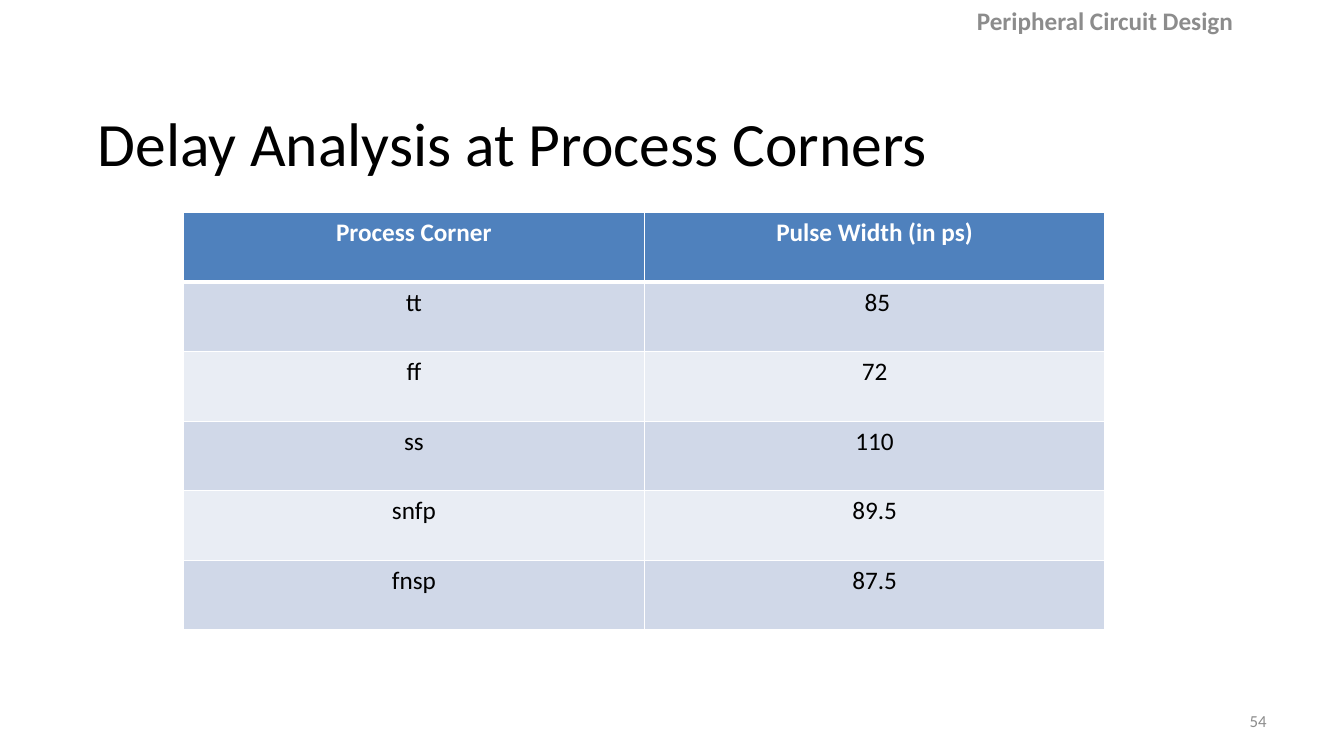
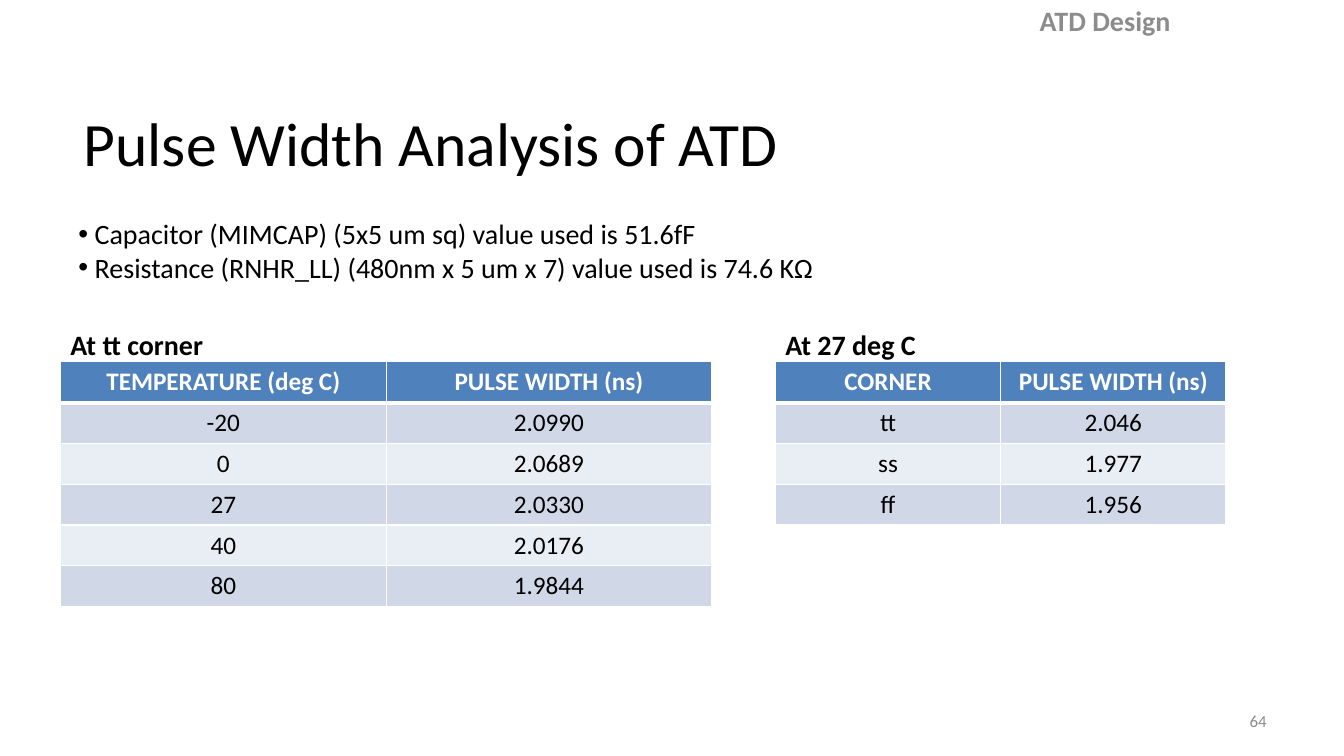
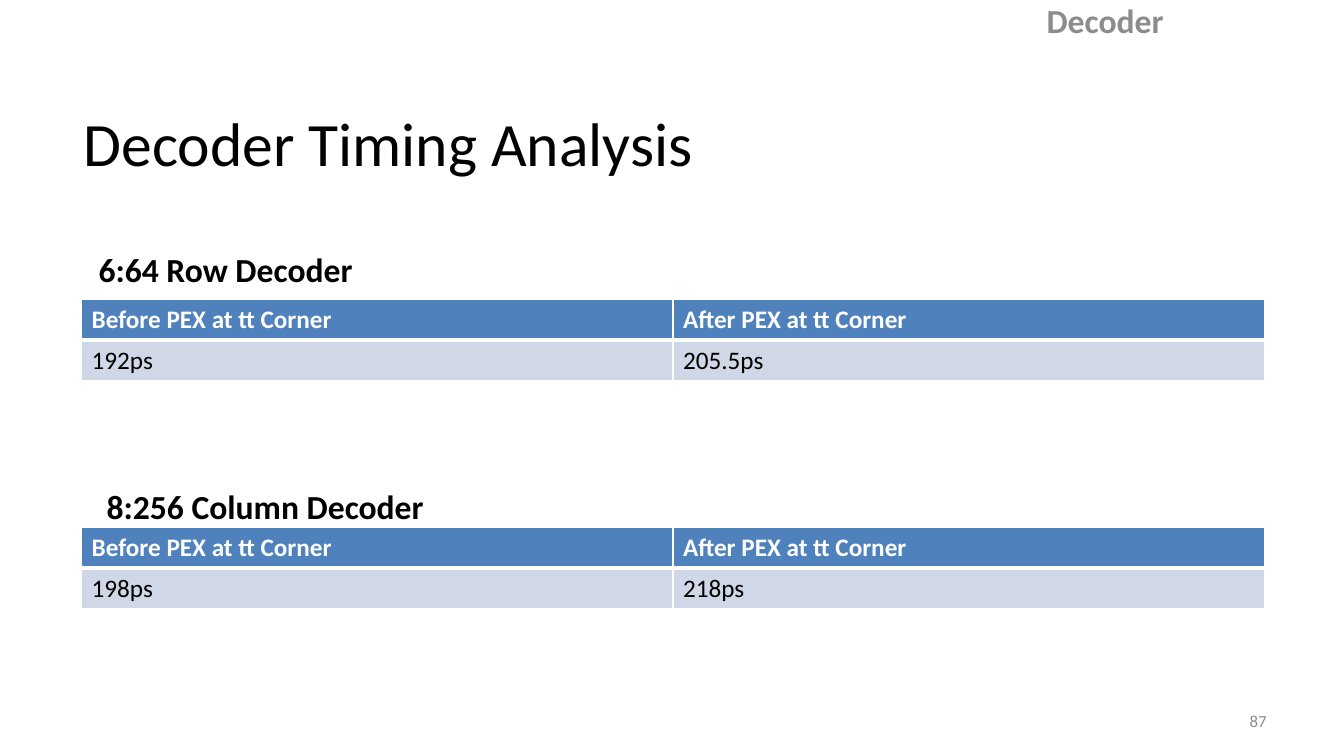
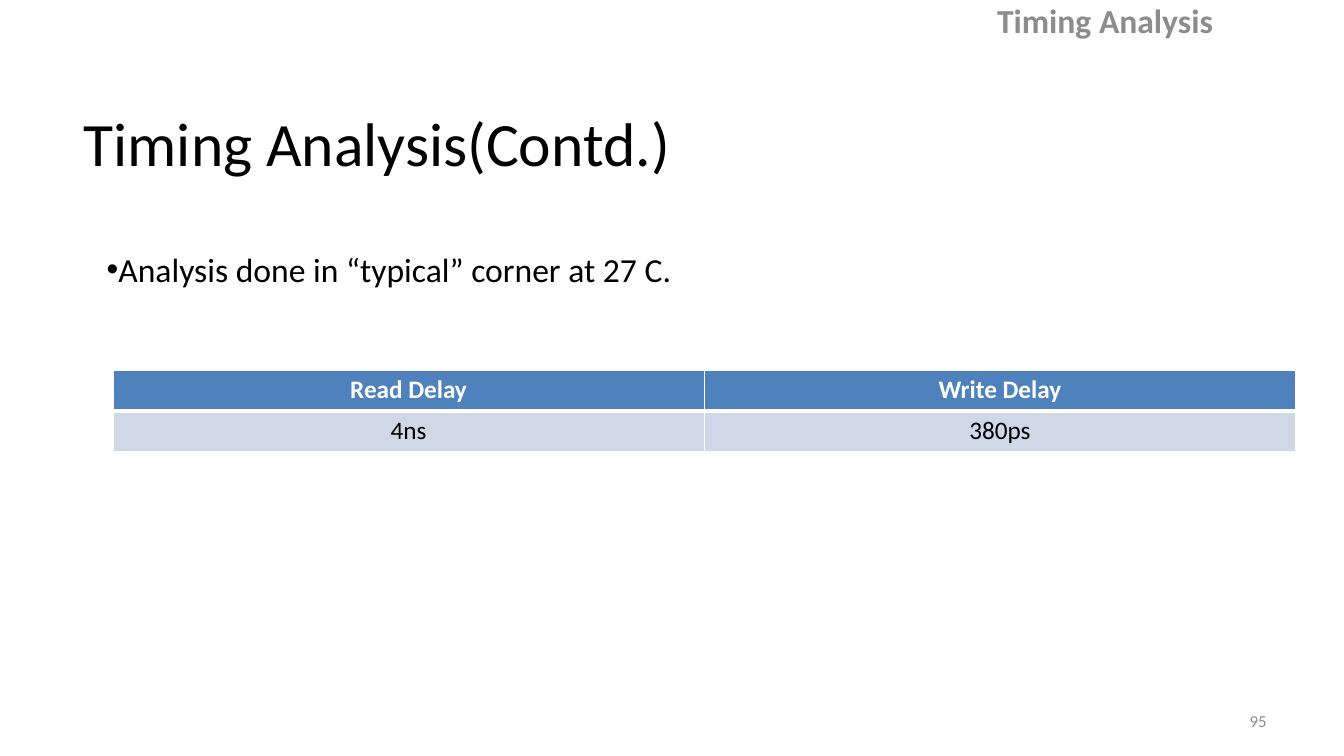
from dataclasses import dataclass
from typing import NamedTuple

from lxml.etree import SubElement
from pptx import Presentation
from pptx.dml.color import RGBColor
from pptx.enum.text import MSO_ANCHOR, MSO_AUTO_SIZE, PP_ALIGN
from pptx.oxml.ns import qn
from pptx.util import Emu, Pt

EMU_PER_PX = 9144  # 100 px to the inch


def px(length):
    return Emu(round(length * EMU_PER_PX))


class Box(NamedTuple):
    left: int
    top: int
    width: int
    height: int

    def emu(self):
        return [px(length) for length in self]


@dataclass(frozen=True)
class Theme:
    font: str = "Calibri"
    ink: str = "000000"
    muted: str = "8C8C8C"
    paper: str = "FFFFFF"
    header: str = "4F81BD"
    bands: tuple = ("D0D8E8", "E9EDF4")
    title_size: int = 44
    large_size: int = 24
    body_size: int = 20
    table_size: int = 18
    number_size: int = 12
    rule: int = 1
    header_rule: int = 3


THEME = Theme()
SLIDE_WIDTH, SLIDE_HEIGHT = 1333, 750
TITLE_BOX = Box(73, 78, 1200, 125)
SECTION_BOX = Box(885, 0, 422, 40)
NUMBER_BOX = Box(955, 695, 311, 40)


def write_text(frame, *lines, size=THEME.body_size, color=THEME.ink, bold=False,
               align=PP_ALIGN.LEFT, bullet=None):
    for index, line in enumerate(lines):
        paragraph = frame.add_paragraph() if index else frame.paragraphs[0]
        paragraph.text = line
        paragraph.alignment = align
        if bullet:
            properties = paragraph._p.get_or_add_pPr()
            properties.set("marL", "0")
            properties.set("indent", "0")
            SubElement(properties, qn("a:buFont"), typeface="Arial")
            SubElement(properties, qn("a:buChar"), char=bullet)
        for run in paragraph.runs:
            run.font.name = THEME.font
            run.font.size = Pt(size)
            run.font.bold = bold
            run.font.color.rgb = RGBColor.from_string(color)


def add_text(slide, box, *lines, anchor=MSO_ANCHOR.TOP, **text_format):
    frame = slide.shapes.add_textbox(*box.emu()).text_frame
    frame.word_wrap = True
    frame.vertical_anchor = anchor
    write_text(frame, *lines, **text_format)


def set_borders(cell, top, bottom):
    """Draw white rules round a cell; top and bottom are widths in points."""
    properties = cell._tc.get_or_add_tcPr()
    widths = {"lnL": THEME.rule, "lnR": THEME.rule, "lnT": top, "lnB": bottom}
    for side, width in widths.items():
        line = SubElement(properties, qn(f"a:{side}"), w=str(Pt(width)))
        SubElement(SubElement(line, qn("a:solidFill")), qn("a:srgbClr"), val=THEME.paper)


def add_data_table(slide, box, rows, align=PP_ALIGN.CENTER):
    table = slide.shapes.add_table(len(rows), len(rows[0]), *box.emu()).table
    table.horz_banding = False
    for column in table.columns:
        column.width = px(box.width / len(rows[0]))
    for row_index, values in enumerate(rows):
        table.rows[row_index].height = px(box.height / len(rows))
        is_header = row_index == 0
        fill = THEME.header if is_header else THEME.bands[(row_index - 1) % 2]
        for column_index, value in enumerate(values):
            cell = table.cell(row_index, column_index)
            set_borders(cell,
                        top=THEME.header_rule if row_index == 1 else THEME.rule,
                        bottom=THEME.header_rule if is_header else THEME.rule)
            cell.fill.solid()
            cell.fill.fore_color.rgb = RGBColor.from_string(fill)
            write_text(cell.text_frame, value, size=THEME.table_size, align=align,
                       color=THEME.paper if is_header else THEME.ink, bold=is_header)


def add_captioned_table(slide, box, caption, rows, indent=0, rise=39,
                        caption_size=THEME.body_size, align=PP_ALIGN.CENTER):
    """Place a table in the box, with a caption starting rise px above it."""
    caption_box = Box(box.left + indent, box.top - rise, box.width - indent, 50)
    add_text(slide, caption_box, caption, size=caption_size, bold=True)
    add_data_table(slide, box, rows, align=align)


def add_titled_slide(presentation, title, section, number, section_size=THEME.large_size):
    slide = presentation.slides.add_slide(presentation.slide_layouts[5])
    shape = slide.shapes.title
    shape.left, shape.top, shape.width, shape.height = TITLE_BOX.emu()
    frame = shape.text_frame
    frame.auto_size = MSO_AUTO_SIZE.NONE
    frame.vertical_anchor = MSO_ANCHOR.MIDDLE
    write_text(frame, title, size=THEME.title_size)
    add_text(slide, SECTION_BOX, section, size=section_size, color=THEME.muted,
             bold=True, align=PP_ALIGN.CENTER, anchor=MSO_ANCHOR.MIDDLE)
    add_text(slide, NUMBER_BOX, str(number), size=THEME.number_size, color=THEME.muted,
             align=PP_ALIGN.RIGHT, anchor=MSO_ANCHOR.MIDDLE)
    return slide


def build_process_corners(presentation):
    slide = add_titled_slide(presentation, " Delay Analysis at Process Corners",
                             "Peripheral Circuit Design", 54, section_size=18)
    add_data_table(slide, Box(182, 211, 914, 414), [
        ("Process Corner", "Pulse Width (in ps)"),
        ("tt", " 85"),
        ("ff", "72"),
        ("ss", "110"),
        ("snfp", "89.5"),
        ("fnsp", "87.5"),
    ])


def build_pulse_width(presentation):
    slide = add_titled_slide(presentation, "Pulse Width Analysis of ATD",
                             "ATD Design", 64, section_size=20)
    add_text(slide, Box(68, 210, 811, 108),
             " Capacitor (MIMCAP) (5x5 um sq) value used is 51.6fF",
             " Resistance (RNHR_LL) (480nm x 5 um x 7) value used is 74.6 KΩ",
             bullet="•")
    add_captioned_table(slide, Box(60, 359, 646, 243), "At tt corner", [
        ("TEMPERATURE (deg C)", "PULSE WIDTH (ns)"),
        ("-20", "2.0990"),
        ("0", "2.0689"),
        ("27", "2.0330"),
        ("40", "2.0176"),
        ("80", "1.9844"),
    ])
    add_captioned_table(slide, Box(769, 359, 447, 162), "At 27 deg C", [
        ("CORNER", "PULSE WIDTH (ns)"),
        ("tt", "2.046"),
        ("ss", "1.977"),
        ("ff", "1.956"),
    ])


def build_decoder_timing(presentation):
    slide = add_titled_slide(presentation, "Decoder Timing Analysis", "Decoder", 87)
    header = ("Before PEX at tt Corner", "After PEX at tt Corner")
    decoders = [
        ("6:64 Row Decoder", ("192ps", "205.5ps"), 297, 7, 55),
        ("8:256 Column Decoder", ("198ps", "218ps"), 523, 15, 46),
    ]
    for caption, delays, top, indent, rise in decoders:
        add_captioned_table(slide, Box(81, top, 1173, 81), caption, [header, delays],
                            indent=indent, rise=rise, caption_size=THEME.large_size,
                            align=PP_ALIGN.LEFT)


def build_timing_analysis(presentation):
    slide = add_titled_slide(presentation, "Timing Analysis(Contd.)", "Timing Analysis", 95)
    add_text(slide, Box(96, 242, 1172, 50), "Analysis done in “typical” corner at 27 C.",
             size=THEME.large_size, bullet="•")
    add_data_table(slide, Box(112, 367, 1173, 81),
                   [("Read Delay", "Write Delay"), ("4ns", "380ps")])


def main():
    presentation = Presentation()
    presentation.slide_width = px(SLIDE_WIDTH)
    presentation.slide_height = px(SLIDE_HEIGHT)
    build_process_corners(presentation)
    build_pulse_width(presentation)
    build_decoder_timing(presentation)
    build_timing_analysis(presentation)
    presentation.save("out.pptx")


if __name__ == "__main__":
    main()
